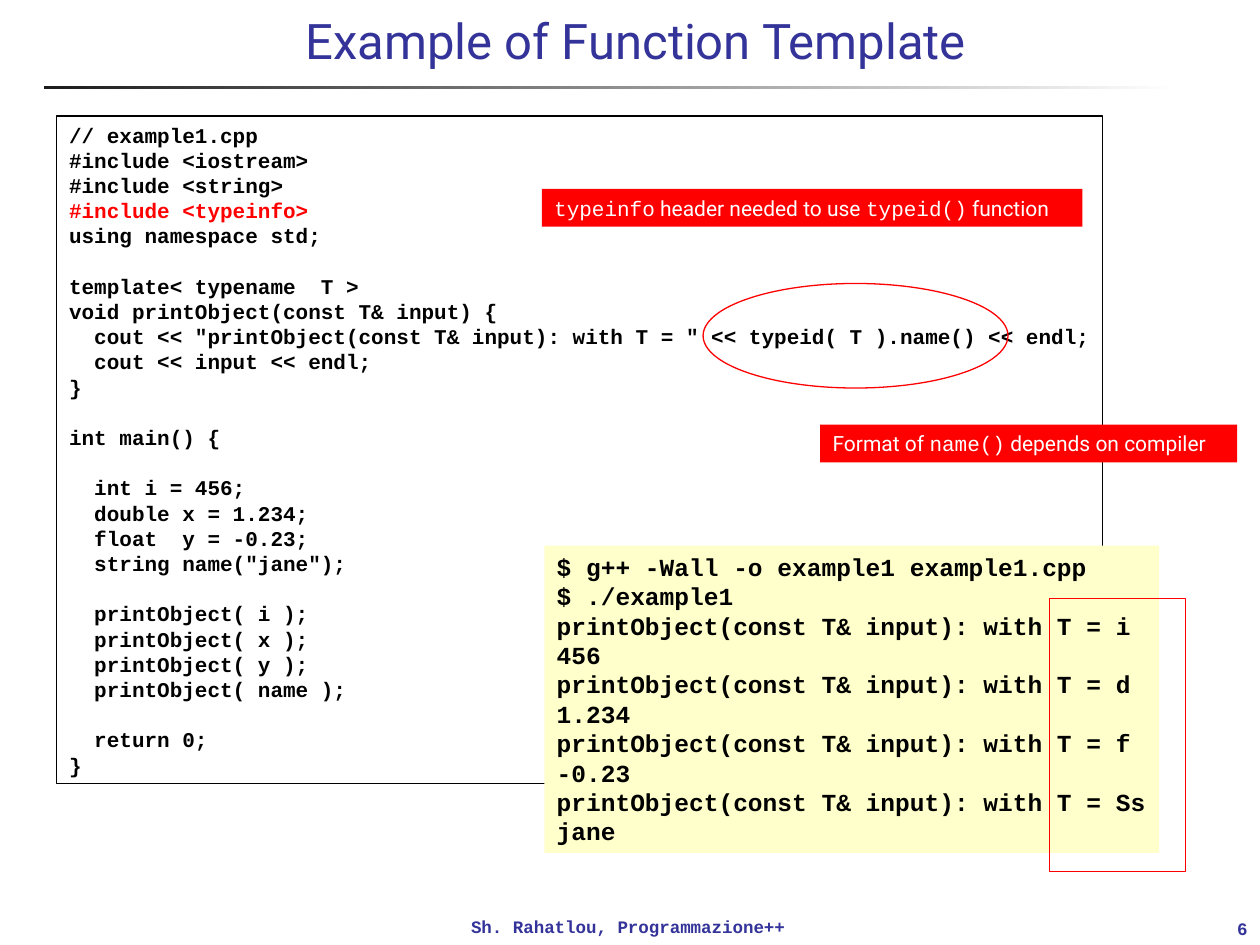
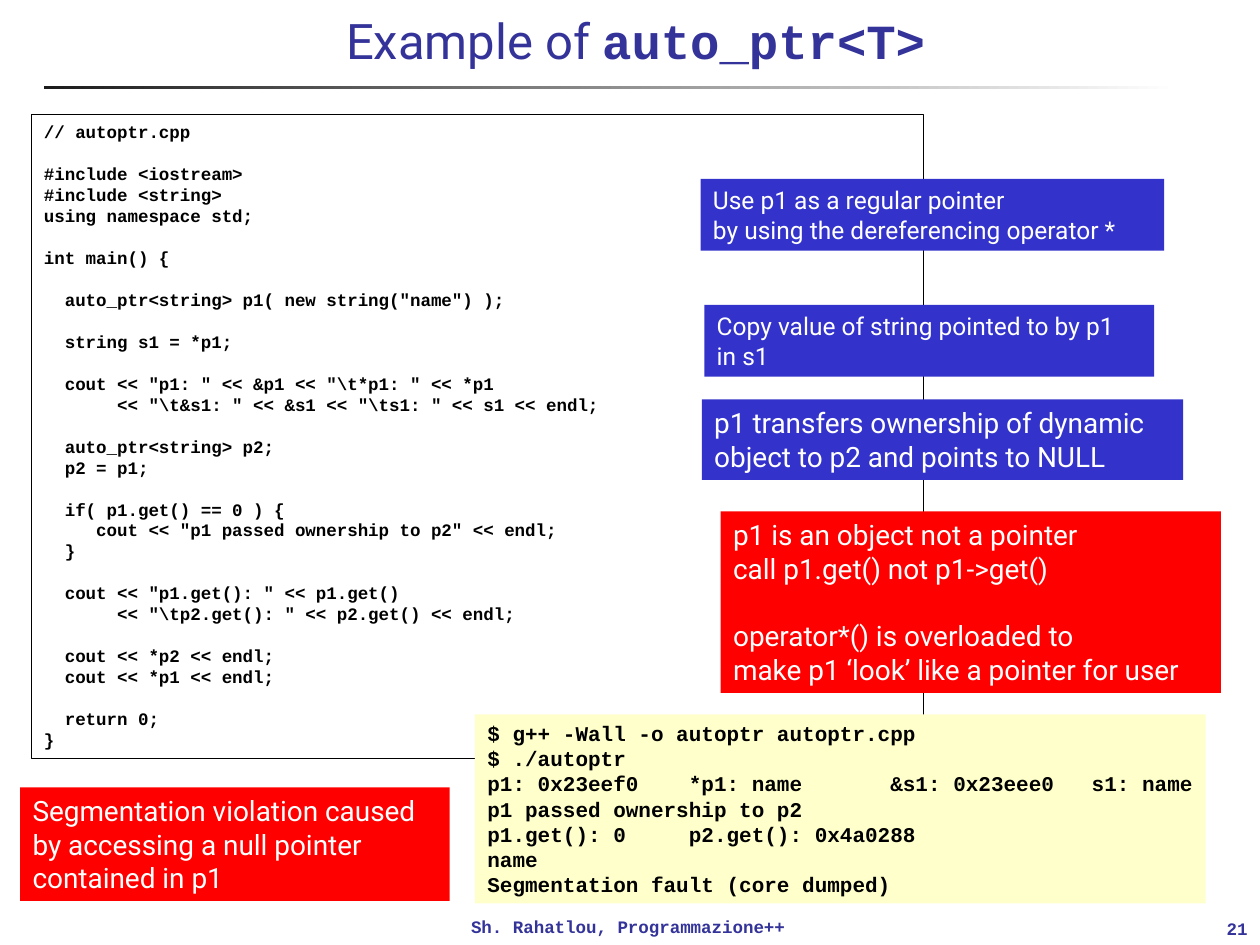
from dataclasses import dataclass

from pptx import Presentation
from pptx.dml.color import RGBColor as Rgb
from pptx.enum.shapes import MSO_SHAPE as Kind
from pptx.enum.text import MSO_ANCHOR as Anchor, PP_ALIGN as Align
from pptx.util import Inches, Pt


@dataclass(frozen=True)
class Theme:
    sans: str = "Roboto"
    mono: str = "Courier New"
    navy: str = "333399"
    blue: str = "3333CC"
    red: str = "FF0000"
    cream: str = "FFFFCC"
    black: str = "000000"
    white: str = "FFFFFF"
    coal: str = "1C1C1C"
    title: int = 28
    large: int = 16
    medium: int = 14
    small: int = 12
    tiny: int = 10
    leading: float = 1.2
    stroke: float = 0.75


T = Theme()
MONO = {"font": T.mono}

HEADERS = """\
// example1.cpp
#include <iostream>
#include <string>"""

TEMPLATE = """\
using namespace std;

template< typename  T >
void printObject(const T& input) {
  cout << "printObject(const T& input): with T = " << typeid( T ).name() << endl;
  cout << input << endl;
}

int main() {

  int i = 456;
  double x = 1.234;
  float  y = -0.23;
  string name("jane");

  printObject( i );
  printObject( x );
  printObject( y );
  printObject( name );

  return 0;
}"""

PRINTED = """\
$ g++ -Wall -o example1 example1.cpp
$ ./example1
printObject(const T& input): with T = i
456
printObject(const T& input): with T = d
1.234
printObject(const T& input): with T = f
-0.23
printObject(const T& input): with T = Ss
jane"""

AUTOPTR = r"""// autoptr.cpp

#include <iostream>
#include <string>
using namespace std;

int main() {

  auto_ptr<string> p1( new string("name") );

  string s1 = *p1;

  cout << "p1: " << &p1 << "\t*p1: " << *p1
       << "\t&s1: " << &s1 << "\ts1: " << s1 << endl;

  auto_ptr<string> p2;
  p2 = p1;

  if( p1.get() == 0 ) {
     cout << "p1 passed ownership to p2" << endl;
  }

  cout << "p1.get(): " << p1.get()
       << "\tp2.get(): " << p2.get() << endl;

  cout << *p2 << endl;
  cout << *p1 << endl;

  return 0;
}"""

CRASHED = """\
$ g++ -Wall -o autoptr autoptr.cpp
$ ./autoptr
p1: 0x23eef0    *p1: name       &s1: 0x23eee0   s1: name
p1 passed ownership to p2
p1.get(): 0     p2.get(): 0x4a0288
name
Segmentation fault (core dumped)"""


def style(run, size, font, color, bold):
    run.font.size = Pt(size)
    run.font.name = font
    run.font.color.rgb = Rgb.from_string(color)
    run.font.bold = bold


def write(frame, rows, size=T.small, font=T.sans, color=T.black, bold=False,
          align=Align.LEFT, anchor=Anchor.TOP, foot=0.05):
    """Fill a frame with rows: a string, or a list of (text, format) runs.

    An empty row becomes space above the row that follows it.
    """
    if isinstance(rows, str):
        rows = rows.splitlines()
    frame.word_wrap = True
    frame.vertical_anchor = anchor
    frame.margin_left, frame.margin_top = Inches(0.1), Inches(0.05)
    frame.margin_right = Inches(0.1 if align == Align.RIGHT else 0)
    frame.margin_bottom = Inches(foot)
    base = {"size": size, "font": font, "color": color, "bold": bold}
    pitch = Pt(size * T.leading)
    para, gap = frame.paragraphs[0], 0
    for row in rows:
        if not row:
            gap += pitch
            continue
        if para.runs:
            para = frame.add_paragraph()
        para.alignment = align
        para.line_spacing = pitch
        para.space_before, gap = gap, 0
        for text, extra in [(row, {})] if isinstance(row, str) else row:
            run = para.add_run()
            run.text = text
            style(run, **{**base, **extra})


def shape(slide, area, kind=Kind.RECTANGLE, fill=None, line=None):
    item = slide.shapes.add_shape(kind, *map(Inches, area))
    item.shadow.inherit = False
    if fill:
        item.fill.solid()
        item.fill.fore_color.rgb = Rgb.from_string(fill)
    else:
        item.fill.background()
    if line:
        item.line.color.rgb = Rgb.from_string(line)
        item.line.width = Pt(T.stroke)
    else:
        item.line.fill.background()
    return item


def label(slide, area, text, **form):
    item = slide.shapes.add_textbox(*map(Inches, area))
    write(item.text_frame, text, size=T.tiny, font=T.mono, color=T.navy,
          bold=True, **form)
    return item


def code(slide, area, rows, size):
    box = shape(slide, area, line=T.black)
    write(box.text_frame, rows, size=size, font=T.mono, bold=True)


def console(slide, area, rows, size):
    box = shape(slide, area, fill=T.cream)
    write(box.text_frame, rows, size=size, font=T.mono, bold=True)


def note(slide, area, rows, fill=T.red, size=T.large):
    box = shape(slide, area, fill=fill)
    write(box.text_frame, rows, size=size, color=T.white)


def brand(slide):
    """Put the title rule and the footer on the layout of this slide."""
    rule = shape(slide, (0.35, 0.68, 9, 0.03))
    rule.fill.gradient()
    rule.fill.gradient_angle = 0
    for stop, color in zip(rule.fill.gradient_stops, (T.coal, T.white)):
        stop.color.rgb = Rgb.from_string(color)
    foot = label(slide, (3.64, 7.22, 2.69, 0.27),
                 "Sh. Rahatlou, Programmazione++")
    for item in (rule, foot):
        slide.slide_layout.shapes.element.append(item.element)


def start(deck, title, number):
    slide = deck.slides.add_slide(deck.slide_layouts[5])
    head = slide.shapes.title
    head.left, head.top, head.width, head.height = map(
        Inches, (0.58, 0.02, 8.83, 0.67))
    write(head.text_frame, [title], size=T.title, color=T.navy,
          align=Align.CENTER, anchor=Anchor.MIDDLE, foot=0.12)
    label(slide, (8.92, 7.25, 1.08, 0.25), number,
          align=Align.RIGHT, anchor=Anchor.BOTTOM)
    return slide


def template(deck):
    slide = start(deck, "Example of Function Template", "6")
    brand(slide)
    rows = [*HEADERS.splitlines(),
            [("#include <typeinfo>", {"color": T.red})],
            *TEMPLATE.splitlines()]
    code(slide, (0.45, 0.92, 8.3, 5.3), rows, T.small)
    console(slide, (4.32, 4.33, 4.88, 2.44), PRINTED, T.medium)
    shape(slide, (5.58, 2.25, 2.42, 0.83), Kind.OVAL, line=T.red)
    note(slide, (6.51, 3.37, 3.31, 0.3),
         [[("Format of ", {}), ("name()", MONO),
           (" depends on compiler", {})]], size=T.small)
    shape(slide, (8.33, 4.75, 1.08, 2.17), line=T.red)
    note(slide, (4.3, 1.5, 4.29, 0.3),
         [[("typeinfo", MONO), (" header needed to use ", {}),
           ("typeid()", MONO), (" function", {})]], size=T.small)


def pointer(deck):
    title = [("Example of ", {}), ("auto_ptr<T>", {**MONO, "bold": True})]
    slide = start(deck, title, "21")
    code(slide, (0.25, 0.91, 7.08, 5.11), AUTOPTR, T.tiny)
    console(slide, (3.77, 5.67, 5.8, 1.5), CRASHED, T.small)
    note(slide, (0.16, 6.25, 3.41, 0.9),
         "Segmentation violation caused\nby accessing a null pointer\n"
         "contained in p1")
    note(slide, (5.56, 1.42, 3.68, 0.57),
         "Use p1 as a regular pointer\n"
         "by using the dereferencing operator *", T.blue, T.medium)
    note(slide, (5.57, 3.17, 3.82, 0.64),
         "p1 transfers ownership of dynamic\n"
         "object to p2 and points to NULL", T.blue)
    note(slide, (5.59, 2.42, 3.57, 0.57),
         "Copy value of string pointed to by p1\nin s1", T.blue, T.medium)
    note(slide, (5.72, 4.06, 3.97, 1.44),
         "p1 is an object not a pointer\ncall p1.get() not p1->get()\n\n"
         "operator*() is overloaded to\n"
         "make p1 ‘look’ like a pointer for user")


def main():
    deck = Presentation()
    deck.slide_width, deck.slide_height = Inches(10), Inches(7.5)
    template(deck)
    pointer(deck)
    deck.save("out.pptx")


if __name__ == "__main__":
    main()
